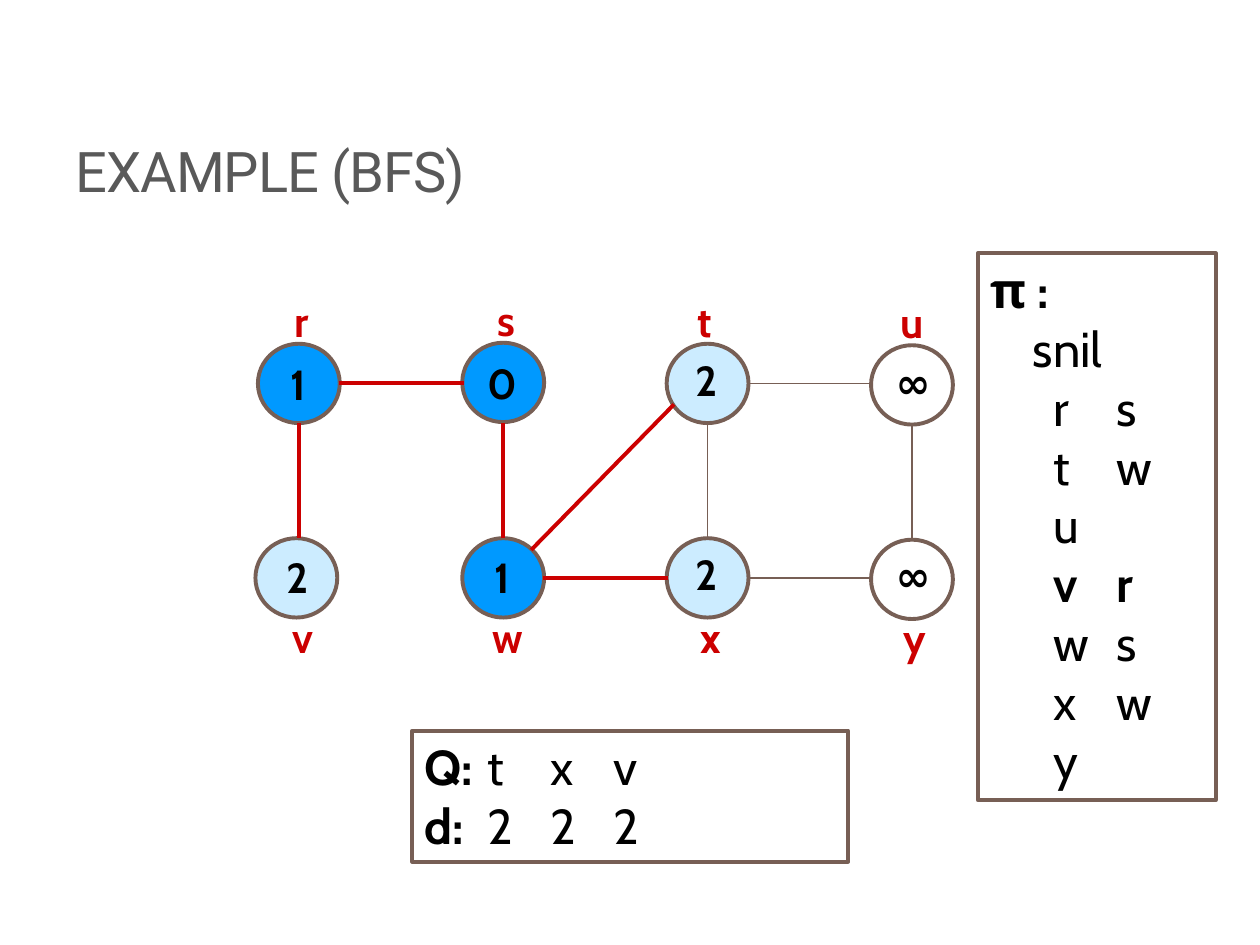
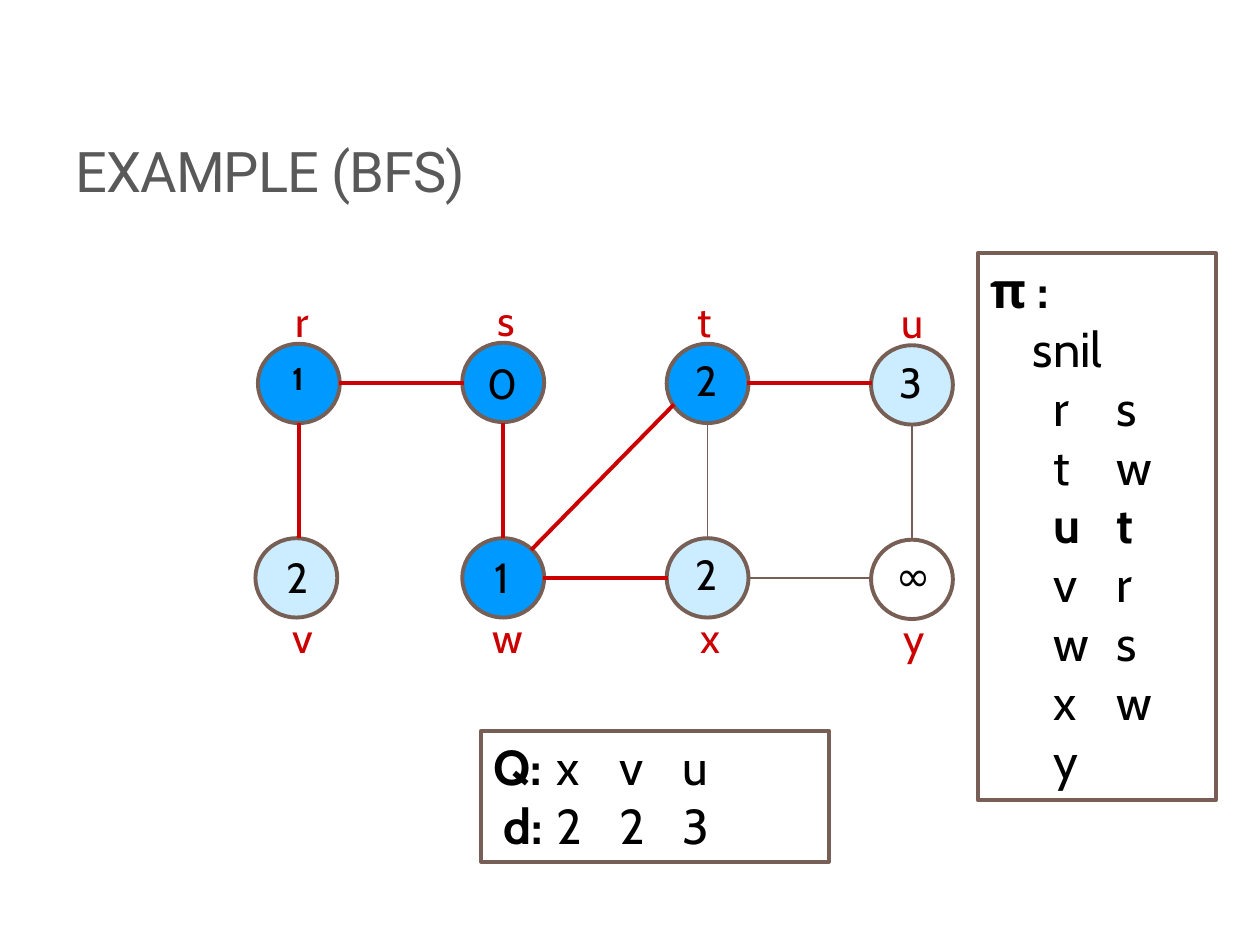
import math
from dataclasses import dataclass

import pptx
import pptx.dml.color
import pptx.enum.shapes
import pptx.enum.text
import pptx.oxml
import pptx.oxml.ns
import pptx.util

Cm = pptx.util.Cm
Pt = pptx.util.Pt
SHAPE = pptx.enum.shapes.MSO_SHAPE
ALIGN = pptx.enum.text.PP_ALIGN
ANCHOR = pptx.enum.text.MSO_ANCHOR
FIT = pptx.enum.text.MSO_AUTO_SIZE


@dataclass(frozen=True)
class Theme:
    title_font: str = "Roboto"
    body_font: str = "Cabin"
    title: str = "595959"
    ink: str = "000000"
    outline: str = "775F55"
    accent: str = "CC0000"
    done: str = "0099FF"
    queued: str = "CCECFF"
    title_size: int = 32
    box_size: int = 28
    node_size: int = 24
    small_size: int = 18
    thick: float = 2.25
    thin: float = 0.75


@dataclass(frozen=True)
class Node:
    col: int
    row: int
    shift: tuple
    value_drop: float
    label_shift: float


@dataclass(frozen=True)
class Row:
    runs: tuple
    indent: float = 0
    tabs: tuple = ()


THEME = Theme()
TITLE_BOX = (1.27, 0.43, 21.16, 3.81)
GRAPH_BOX = (5.2, 5.8, 14.02, 7.7)
PARENT_BOX = (19.71, 5.11, 4.8, 11.02)
CIRCLE_W, CIRCLE_H = 1.65, 1.6
COL_STEP, ROW_STEP = 4.12, 3.92
LABEL_SPACE = 1.13
EDGE_REACH = 0.8
TEXT_W, TEXT_H = 1.12, 1.27

NODES = {
    "r": Node(0, 0, (0, 0), 0.18, 0.06),
    "s": Node(1, 0, (0, -0.02), 0.18, 0.06),
    "t": Node(2, 0, (0, 0), 0.1, -0.06),
    "u": Node(3, 0, (0, 0.03), 0.1, 0.01),
    "v": Node(0, 1, (-0.05, 0), 0.15, 0.08),
    "w": Node(1, 1, (0, 0), 0.15, 0.1),
    "x": Node(2, 1, (0, 0), 0.08, 0.06),
    "y": Node(3, 1, (0, 0.03), 0.08, 0.05),
}
RIGHT, DOWN, LEFT, UP = 0, 90, 180, 270
EDGES = {
    "rs": (RIGHT, LEFT),
    "tu": (RIGHT, LEFT),
    "wx": (RIGHT, LEFT),
    "xy": (RIGHT, LEFT),
    "rv": (DOWN, UP),
    "sw": (DOWN, UP),
    "tx": (DOWN, UP),
    "uy": (DOWN, UP),
    "wt": (-45, 148),
}
DISTANCE_TABS = (1.2, 2.17, 3.13)

STEPS = [
    dict(
        values=dict(r="1", s="0", t="2", u="∞", v="2", w="1", x="2", y="∞"),
        done="rsw", queued="txv", tree=("rs", "rv", "sw", "wt", "wx"),
        bold=True, sizes={}, bold_values="rstuvwxy",
        parents=dict(r="s", t="w", u="", v="r", w="s", x="w", y=""), newest="v",
        queue_box=(8.31, 14.73, 8.79, 2.64),
        queue=(Row((("Q:", True), ("\tt\tx\tv", False)), tabs=(1.36, 2.17, 3.08)),
               Row((("d:", True), ("\t2\t2\t2", False)), tabs=DISTANCE_TABS)),
    ),
    dict(
        values=dict(r="1", s="0", t="2", u="3", v="2", w="1", x="2", y="∞"),
        done="rswt", queued="xvu", tree=("rs", "rv", "sw", "wt", "wx", "tu"),
        bold=False, sizes={"r": THEME.small_size}, bold_values="r",
        parents=dict(r="s", t="w", u="t", v="r", w="s", x="w", y=""), newest="u",
        queue_box=(9.7, 14.73, 7.01, 2.64),
        queue=(Row((("Q:", True), ("\tx\tv\tu", False)), tabs=(1.4, 2.33, 3.25)),
               Row((("d:", True), ("\t2\t2\t3", False)), 0.2, DISTANCE_TABS)),
    ),
]


def rgb(color):
    return pptx.dml.color.RGBColor.from_string(color)


def write(p, text, size=THEME.node_size, color=THEME.ink, bold=False,
          font=THEME.body_font, spacing=None):
    r = p.add_run()
    r.text = text
    r.font.name = font
    r.font.size = Pt(size)
    r.font.bold = bold
    r.font.color.rgb = rgb(color)
    if spacing is not None:
        r.font._element.set("spc", str(spacing))
    return r


def set_tabs(p, indent, tabs):
    pPr = p._p.get_or_add_pPr()
    pPr.set("marL", "0")
    pPr.set("indent", str(Cm(indent)))
    if tabs:
        ns = pptx.oxml.ns.nsdecls("a")
        stops = "".join(f'<a:tab pos="{Cm(pos)}" algn="l"/>' for pos in tabs)
        pPr.append(pptx.oxml.parse_xml(f"<a:tabLst {ns}>{stops}</a:tabLst>"))


def add_title(slide, box, text):
    sp = slide.shapes.title
    sp.left, sp.top, sp.width, sp.height = map(Cm, box)
    tf = sp.text_frame
    tf.auto_size = FIT.NONE
    tf.vertical_anchor = ANCHOR.BOTTOM
    p = tf.paragraphs[0]
    p.alignment = ALIGN.LEFT
    write(p, text, size=THEME.title_size, color=THEME.title,
          font=THEME.title_font, spacing=-60)


def add_outlined(slide, kind, box, fill=None):
    sp = slide.shapes.add_shape(kind, *map(Cm, box))
    sp.shadow.inherit = False
    if fill:
        sp.fill.solid()
        sp.fill.fore_color.rgb = rgb(fill)
    else:
        sp.fill.background()
    sp.line.color.rgb = rgb(THEME.outline)
    sp.line.width = Pt(THEME.thick)
    return sp


def add_caption(slide, center, top, text, **fmt):
    sp = slide.shapes.add_textbox(Cm(center - TEXT_W / 2), Cm(top), Cm(TEXT_W), Cm(TEXT_H))
    tf = sp.text_frame
    tf.word_wrap = False
    p = tf.paragraphs[0]
    p.alignment = ALIGN.CENTER
    write(p, text, **fmt)


def add_rows(slide, box, rows):
    tf = add_outlined(slide, SHAPE.RECTANGLE, box).text_frame
    tf.word_wrap = True
    tf.auto_size = FIT.SHAPE_TO_FIT_TEXT
    tf.vertical_anchor = ANCHOR.TOP
    for i, row in enumerate(rows):
        p = tf.add_paragraph() if i else tf.paragraphs[0]
        p.alignment = ALIGN.LEFT
        set_tabs(p, row.indent, row.tabs)
        for text, bold in row.runs:
            write(p, text, size=THEME.box_size, bold=bold)


def grid_center(box, node):
    return (box[0] + CIRCLE_W / 2 + node.col * COL_STEP,
            box[1] + LABEL_SPACE + CIRCLE_H / 2 + node.row * ROW_STEP)


def add_edge(slide, box, ends, angles, in_tree):
    points = []
    for name, angle in zip(ends, map(math.radians, angles)):
        x, y = grid_center(box, NODES[name])
        points += [Cm(x + EDGE_REACH * math.cos(angle)), Cm(y + EDGE_REACH * math.sin(angle))]
    line = slide.shapes.add_connector(pptx.enum.shapes.MSO_CONNECTOR.STRAIGHT, *points)
    line.line.color.rgb = rgb(THEME.accent if in_tree else THEME.outline)
    line.line.width = Pt(THEME.thick if in_tree else THEME.thin)
    ns = pptx.oxml.ns.nsdecls("a")
    line._element.spPr.append(pptx.oxml.parse_xml(f"<a:effectLst {ns}/>"))


def add_node(slide, box, name, step):
    node = NODES[name]
    x, y = grid_center(box, node)
    left = x - CIRCLE_W / 2 + node.shift[0]
    top = y - CIRCLE_H / 2 + node.shift[1]
    fill = (THEME.done if name in step["done"]
            else THEME.queued if name in step["queued"] else None)
    add_outlined(slide, SHAPE.OVAL, (left, top, CIRCLE_W, CIRCLE_H), fill)
    add_caption(slide, x - 0.02, top + node.value_drop, step["values"][name],
                size=step["sizes"].get(name, THEME.node_size),
                bold=name in step["bold_values"])
    label_top = top + (1.35 if node.row else -1.1)
    add_caption(slide, x + node.label_shift, label_top, name,
                color=THEME.accent, bold=step["bold"])


def add_graph(slide, box, step):
    for name in NODES:
        add_node(slide, box, name, step)
    for ends, angles in EDGES.items():
        add_edge(slide, box, ends, angles, ends in step["tree"])


def add_parents(slide, box, step):
    rows = [Row((("π :", True),)), Row((("s\tnil", False),), 0.85, (2.15,))]
    for name, parent in step["parents"].items():
        text = f"{name}\t{parent}" if parent else name
        rows.append(Row(((text, name == step["newest"]),), 1.27, (3.0,)))
    add_rows(slide, box, rows)


def add_step_slide(prs, step):
    slide = prs.slides.add_slide(prs.slide_layouts[5])
    add_title(slide, TITLE_BOX, "EXAMPLE (BFS)")
    add_graph(slide, GRAPH_BOX, step)
    add_rows(slide, step["queue_box"], step["queue"])
    add_parents(slide, PARENT_BOX, step)


def main():
    prs = pptx.Presentation()
    prs.slide_width, prs.slide_height = Cm(25.4), Cm(19.05)
    for step in STEPS:
        add_step_slide(prs, step)
    prs.save("out.pptx")


if __name__ == "__main__":
    main()
